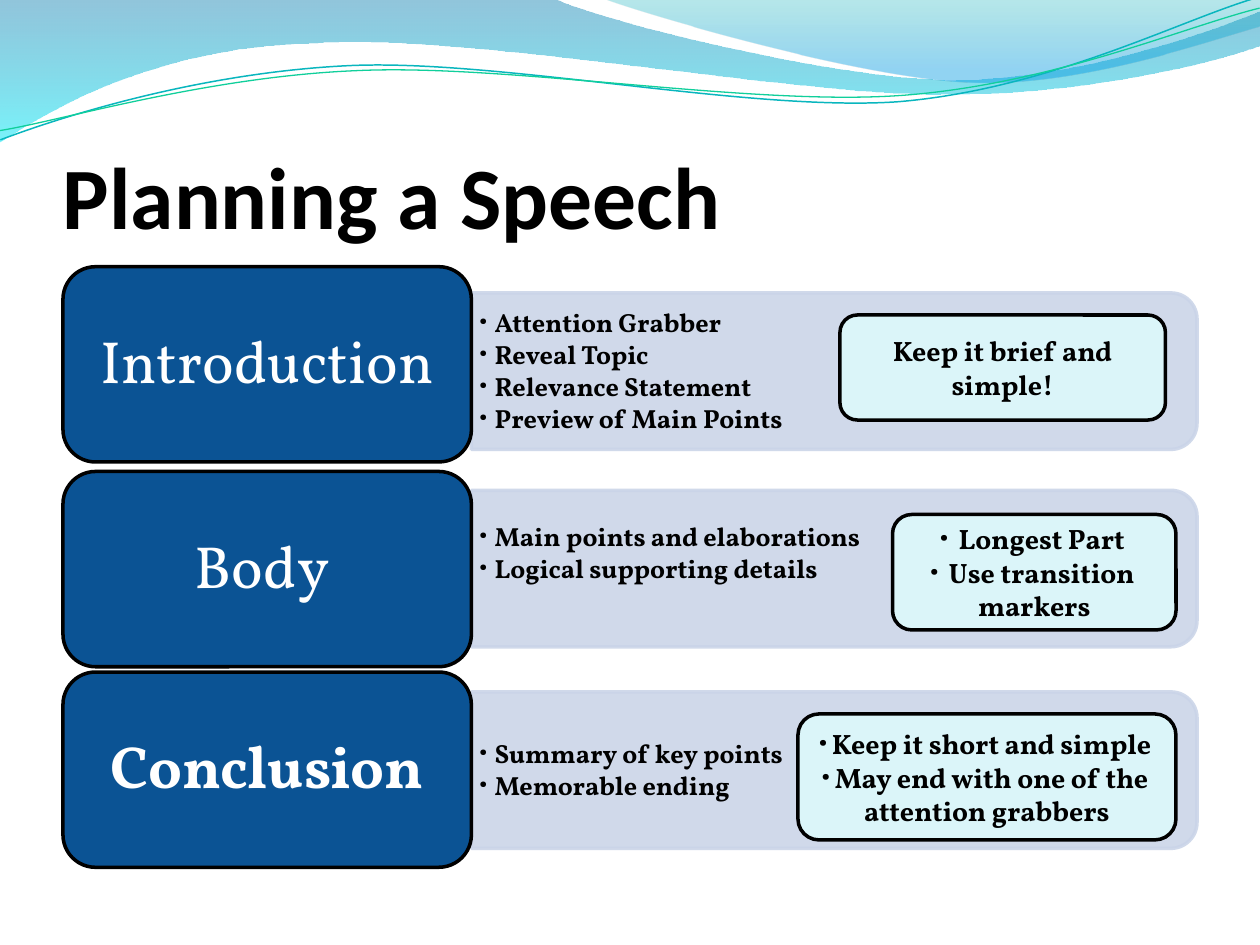
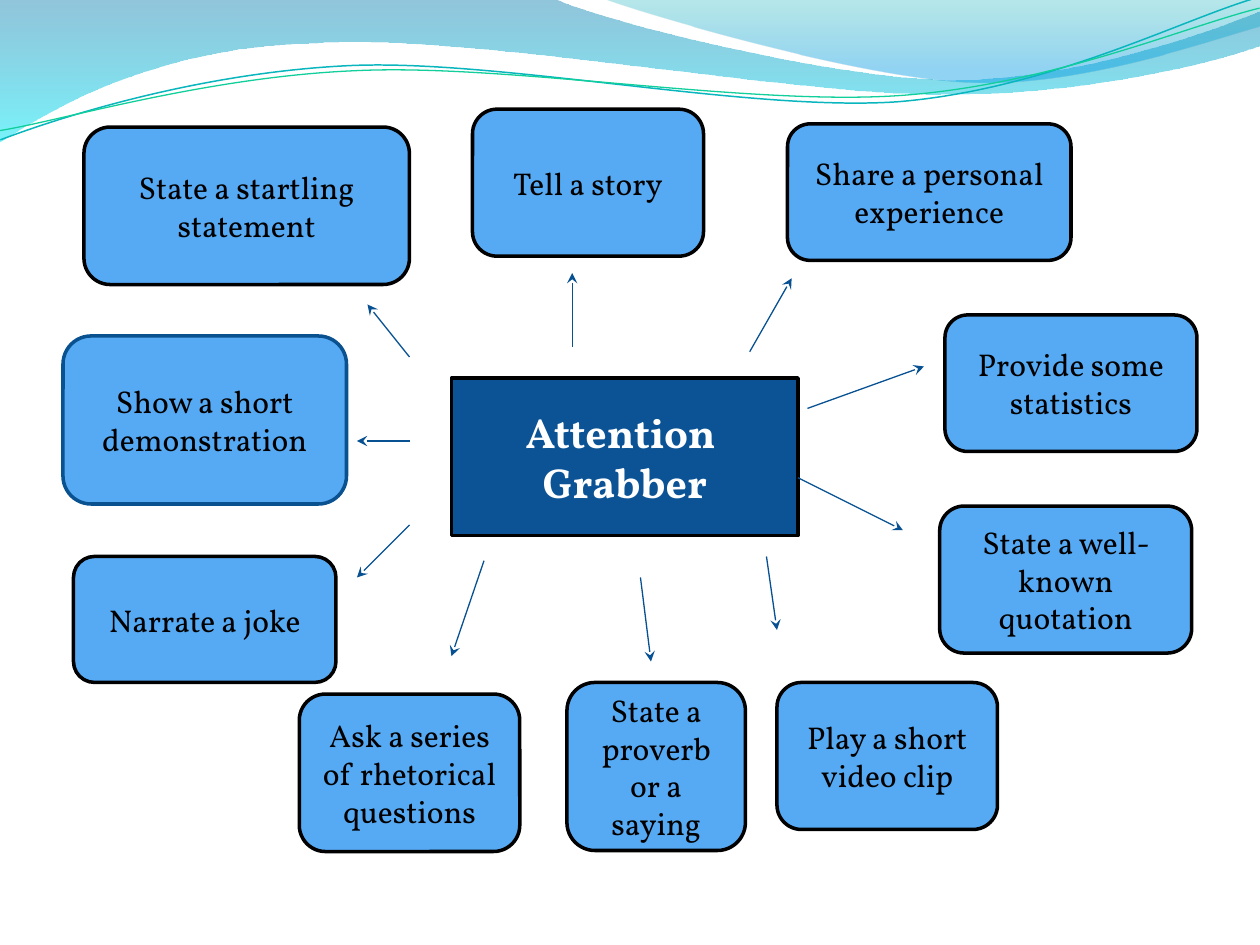
"""Builds two slides on planning a speech and grabbing attention."""
from lxml.etree import SubElement
from pptx import Presentation
from pptx.dml.color import RGBColor
from pptx.enum.shapes import MSO_CONNECTOR, MSO_SHAPE as SHAPE
from pptx.enum.text import MSO_ANCHOR as ANCHOR, PP_ALIGN as ALIGN
from pptx.oxml.ns import qn
from pptx.util import Pt

PX = 914400 // 120
BODY_FONT = "Vollkorn"
TITLE_FONT = "Calibri"

BLACK = RGBColor(0x00, 0x00, 0x00)
WHITE = RGBColor(0xFF, 0xFF, 0xFF)
NAVY = RGBColor(0x0B, 0x53, 0x94)
DARK_NAVY = RGBColor(0x0A, 0x51, 0x90)
ARROW_BLUE = RGBColor(0x07, 0x51, 0x92)
SKY = RGBColor(0x56, 0xA9, 0xF3)
PALE_AQUA = RGBColor(0xDB, 0xF5, 0xF9)
BAR_GREY = RGBColor(0xCA, 0xD4, 0xE8)
OCEAN = RGBColor(0x00, 0x79, 0xAD)
CYAN = RGBColor(0x00, 0xE9, 0xF7)
TEAL = RGBColor(0x00, 0xAB, 0xB4)
AZURE = RGBColor(0x00, 0x99, 0xE4)
LINE_TEAL = RGBColor(0x09, 0xB6, 0xBE)
LINE_GREEN = RGBColor(0x10, 0xCF, 0x9B)


def add_text(s, box, lines, kind=None, fill=None, line=BLACK, size=18, color=BLACK,
             bold=False, font=BODY_FONT, align=ALIGN.CENTER, anchor=ANCHOR.MIDDLE,
             insets=(12, 6, 12, 6), spacing=None, before=0, bullet=None):
    box = [v * PX for v in box]
    if kind is None:
        sp = s.shapes.add_textbox(*box)
    else:
        sp = s.shapes.add_shape(kind, *box)
        sp.shadow.inherit = False
        sp.fill.solid()
        sp.fill.fore_color.rgb = fill
        sp.line.color.rgb = line
        sp.line.width = Pt(2)
    tf = sp.text_frame
    tf.word_wrap = True
    tf.vertical_anchor = anchor
    tf.margin_left, tf.margin_top, tf.margin_right, tf.margin_bottom = [v * PX for v in insets]
    for i, text in enumerate(lines):
        p = tf.paragraphs[0] if i == 0 else tf.add_paragraph()
        p.alignment = align
        if spacing:
            p.line_spacing = spacing
        if before and i:
            p.space_before = Pt(before)
        if bullet:
            pPr = p._p.get_or_add_pPr()
            pPr.set("marL", str(bullet[0] * PX))
            pPr.set("indent", str(bullet[1] * PX))
            SubElement(pPr, qn("a:buFont"), typeface=font)
            SubElement(pPr, qn("a:buChar"), char="•")
        r = p.add_run()
        r.text = text
        r.font.name = font
        r.font.size = Pt(size)
        r.font.bold = bold
        r.font.color.rgb = color
    return sp


def set_alpha(sp, *percents):
    colors = list(sp._element.spPr.iter(qn("a:srgbClr")))
    for clr, percent in zip(colors, percents):
        SubElement(clr, qn("a:alpha"), val=str(percent * 1000))


prs = Presentation()
prs.slide_width = 1200 * PX
prs.slide_height = 900 * PX
layout = prs.slide_layouts[6]
for ph in list(layout.placeholders):
    ph._element.getparent().remove(ph._element)
s = prs.slides.add_slide(layout)

bands = [
    ([[(0, 0)], [(528, -1)],
      [(571, 20), (797, 76), (910, 76)], [(1024, 76), (1150, 31), (1200, 11)],
      [(1201, 43)], [(1180, 53), (1044, 91), (895, 90)],
      [(746, 90), (458, 34), (308, 41)], [(155, 43), (55, 100), (-1, 136)]],
     [(0, OCEAN, 43), (1, CYAN, 53)]),
    ([[(575, -1)], [(611, 13), (818, 74), (923, 78)],
      [(1027, 83), (1153, 38), (1200, 25)], [(1200, 0)]],
     [(0, TEAL, 28), (0.8, AZURE, 43)]),
]
strands = [
    ([[(-2, 105)], [(56, 86), (190, 50), (333, 50)],
      [(475, 50), (710, 112), (853, 109)], [(999, 104), (1128, 43), (1200, 26)]],
     LINE_TEAL, 0.85),
    ([[(-2, 96)], [(54, 90), (197, 54), (340, 55)],
      [(485, 55), (714, 107), (859, 103)], [(1002, 99), (1131, 50), (1202, 36)]],
     LINE_GREEN, 0.75),
]
waves = []
for segments, *_ in bands + strands:
    start, *points = [point for segment in segments for point in segment]
    builder = s.shapes.build_freeform(*start, scale=PX)
    builder.add_line_segments(points, close=len(waves) < len(bands))
    sp = builder.convert_to_shape()
    sp.shadow.inherit = False
    steps = iter(list(sp._element.iter(qn("a:lnTo"))))
    for segment in segments[1:]:
        first, *rest = [next(steps) for _ in segment]
        if rest:
            first.tag = qn("a:cubicBezTo")
        for step in rest:
            first.append(step[0])
            step.getparent().remove(step)
    waves.append(sp)

for sp, (_, stops) in zip(waves, bands):
    sp.line.fill.background()
    sp.fill.gradient()
    sp.fill.gradient_angle = 270
    for stop, (position, color, _) in zip(sp.fill.gradient_stops, stops):
        stop.position = position
        stop.color.rgb = color
    set_alpha(sp, *[alpha for _, _, alpha in stops])
for sp, (_, color, width) in zip(waves[len(bands):], strands):
    sp.fill.background()
    sp.line.color.rgb = color
    sp.line.width = Pt(width)
    sp.rotation = 357.3
for sp in waves:
    layout.shapes._spTree.append(sp._element)

add_text(s, (60, 85, 1080, 150), ["Planning a Speech"], font=TITLE_FONT, size=50, bold=True,
         align=ALIGN.LEFT, anchor=ANCHOR.BOTTOM, insets=(0, 6, 0, 0))

parts = [
    ("Introduction", False, 254, 354, 4,
     ["Attention Grabber", "Reveal Topic", "Relevance Statement", "Preview of Main Points"]),
    ("Body ", False, 449, 542, 33,
     ["Main points and elaborations", "Logical supporting details"]),
    ("Conclusion", True, 640, 734, 4,
     ["Summary of key points", "Memorable ending"]),
]
for name, bold, top, middle, bottom_inset, points in parts:
    bar = add_text(s, (720, middle - 346, 149, 691), [], kind=SHAPE.ROUND_2_SAME_RECTANGLE,
                   fill=BAR_GREY, line=BAR_GREY)
    bar.rotation = 90
    set_alpha(bar, 88, 88)
    add_text(s, (449, middle - 67, 684, 134), points, size=15, bold=True, align=ALIGN.LEFT,
             insets=(7, 4, 7, bottom_inset), spacing=0.9, before=2, bullet=(15, -15))
    add_text(s, (60, top, 389, 186), [name], kind=SHAPE.ROUNDED_RECTANGLE, fill=NAVY, size=34,
             color=WHITE, bold=bold, insets=(26, 17, 26, 17), spacing=0.9)

tips = [
    ((800, 300, 310, 100), None, ["Keep it brief and simple!"]),
    ((850, 490, 270, 110), (0, -13), [" Longest Part", " Use transition markers"]),
    ((760, 680, 360, 120), (0, -13),
     ["Keep it short and simple", "May end with one of the attention grabbers"]),
]
for box, bullet, lines in tips:
    add_text(s, box, lines, kind=SHAPE.ROUNDED_RECTANGLE, fill=PALE_AQUA, size=16, bold=True,
             bullet=bullet)

s = prs.slides.add_slide(layout)
add_text(s, (430, 360, 330, 150), ["Attention ", "Grabber"], kind=SHAPE.RECTANGLE, fill=NAVY,
         size=24, color=WHITE, bold=True)

arrows = [
    (390, 340, 350, 290), (390, 420, 340, 420), (390, 500, 340, 550), (461, 534, 430, 625),
    (545, 330, 545, 260), (714, 335, 754, 265), (769, 389, 880, 349), (760, 455, 860, 505),
    (730, 530, 740, 600), (610, 550, 620, 630),
]
for ends in arrows:
    arrow = s.shapes.add_connector(MSO_CONNECTOR.STRAIGHT, *[v * PX for v in ends])
    arrow.line.color.rgb = ARROW_BLUE
    arrow.line.width = Pt(0.75)
    spPr = arrow._element.spPr
    SubElement(spPr.find(qn("a:ln")), qn("a:tailEnd"), type="stealth")
    SubElement(spPr, qn("a:effectLst"))

ideas = [
    ((80, 121, 310, 150), "State a startling statement", BLACK),
    ((60, 320, 270, 160), "Show a short demonstration", DARK_NAVY),
    ((70, 530, 250, 120), "Narrate a joke", BLACK),
    ((450, 104, 220, 140), "Tell a story", BLACK),
    ((750, 118, 270, 130), "Share a personal experience", BLACK),
    ((900, 300, 240, 130), "Provide some statistics", BLACK),
    ((895, 482, 240, 140), "State a well-known quotation", BLACK),
    ((740, 650, 210, 140), "Play a short video clip", BLACK),
    ((540, 650, 170, 160), "State a proverb or a saying", BLACK),
    ((285, 661, 210, 150), "Ask a series of rhetorical questions", BLACK),
]
for box, idea, outline in ideas:
    add_text(s, box, [idea], kind=SHAPE.ROUNDED_RECTANGLE, fill=SKY, line=outline)

prs.save("out.pptx")
